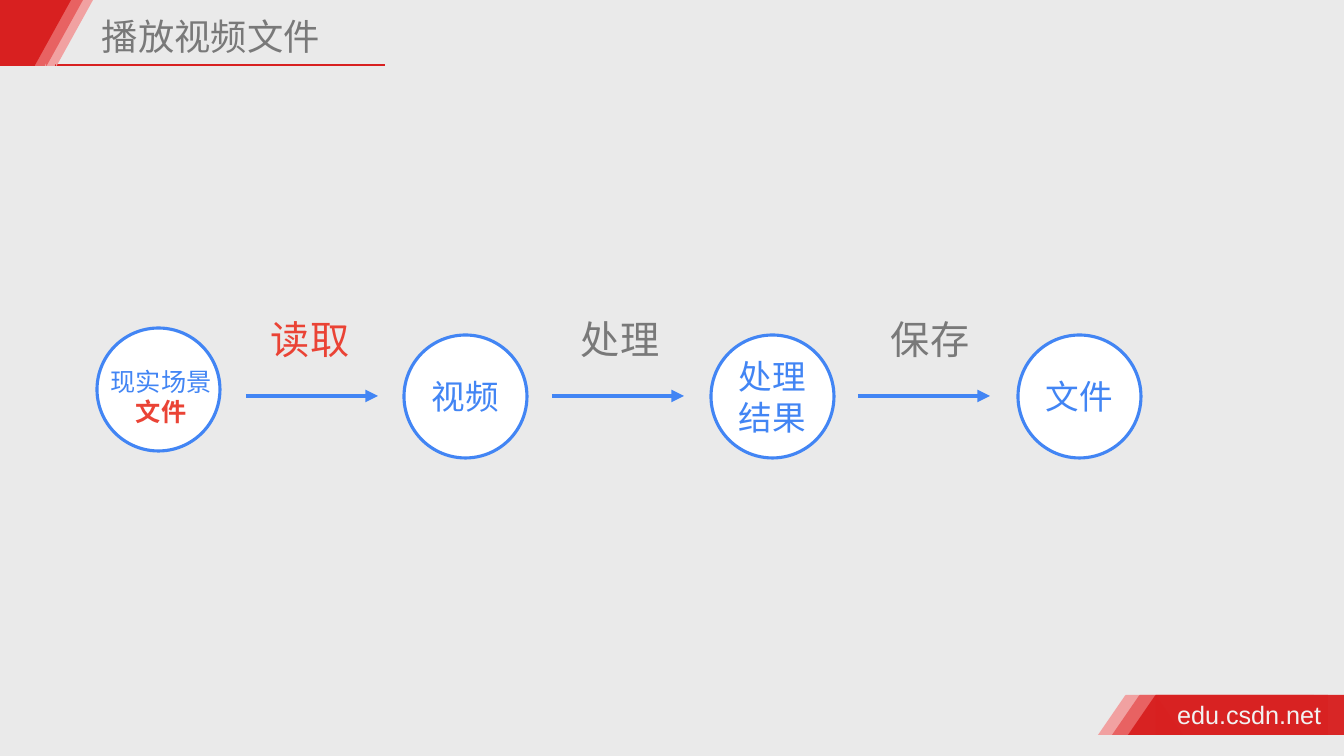
import pptx
import pptx.util
import pptx.dml.color
import pptx.enum.shapes
import pptx.enum.text
import pptx.oxml
import pptx.oxml.ns

RGB = pptx.dml.color.RGBColor
SHAPE = pptx.enum.shapes.MSO_SHAPE
ALIGN = pptx.enum.text.PP_ALIGN
ANCHOR = pptx.enum.text.MSO_ANCHOR
AUTO = pptx.enum.text.MSO_AUTO_SIZE

BACKGROUND = RGB(0xEA, 0xEA, 0xEA)
RED = RGB(0xD8, 0x20, 0x20)
MID_RED = RGB(0xE8, 0x62, 0x62)
PALE_RED = RGB(0xF1, 0xA1, 0xA1)
TEXT_RED = RGB(0xEA, 0x43, 0x35)
BLUE = RGB(0x42, 0x85, 0xF4)
GREY = RGB(0x79, 0x79, 0x79)
WHITE = RGB(0xFF, 0xFF, 0xFF)
OFF_WHITE = RGB(0xF2, 0xF2, 0xF2)
CJK = "Noto Sans CJK SC"


def px(n):
    return pptx.util.Emu(round(n * 914400 / 100.8))


def add_element(parent, tag, **attrs):
    el = pptx.oxml.parse_xml(f"<a:{tag} {pptx.oxml.ns.nsdecls('a')}/>")
    for name, value in attrs.items():
        el.set(name, value)
    parent.append(el)


def write(tf, lines, size, color, font=CJK, bold=False, insets=(5, 5), **para):
    """Fill a text frame; each line is a text and its own format values."""
    tf.margin_left = tf.margin_right = px(insets[0])
    tf.margin_top = tf.margin_bottom = px(insets[1])
    for i, (text, own) in enumerate(lines):
        p = tf.paragraphs[0] if i == 0 else tf.add_paragraph()
        for name, value in para.items():
            setattr(p, name, value)
        r = p.add_run()
        r.text = text
        fmt = {"size": pptx.util.Pt(size), "name": font, "bold": bold, **own}
        r.font.color.rgb = fmt.pop("color", color)
        for name, value in fmt.items():
            setattr(r.font, name, value)
        add_element(r.font._element, "ea", typeface=font)


def add_text(s, box, lines, size, color, wrap=False, grow=True, **fmt):
    tf = s.shapes.add_textbox(*map(px, box)).text_frame
    tf.word_wrap = wrap
    tf.auto_size = AUTO.SHAPE_TO_FIT_TEXT if grow else AUTO.NONE
    write(tf, lines, size, color, **fmt)


def add_shape(s, kind, box, fill, line=None, alpha=None):
    sp = s.shapes.add_shape(kind, *map(px, box))
    sp.shadow.inherit = False
    sp.fill.solid()
    sp.fill.fore_color.rgb = fill
    if alpha:
        color = sp._element.spPr.find(".//" + pptx.oxml.ns.qn("a:srgbClr"))
        add_element(color, "alpha", val=str(alpha * 1000))
    if line:
        sp.line.color.rgb = line
        sp.line.width = pptx.util.Pt(2.25)
    else:
        sp.line.fill.background()
    return sp


def add_line(s, x1, x2, y, color, width, arrow=False):
    ln = s.shapes.add_connector(
        pptx.enum.shapes.MSO_CONNECTOR.STRAIGHT, px(x1), px(y), px(x2), px(y))
    ln.line.color.rgb = color
    ln.line.width = pptx.util.Pt(width)
    if arrow:
        add_element(ln.line._get_or_add_ln(), "tailEnd", type="triangle")
    add_element(ln._element.spPr, "effectLst")


def add_circle(s, x, y, text):
    sp = add_shape(s, SHAPE.OVAL, (x, y, 123, 123), WHITE, BLUE)
    if text:
        sp.text_frame.word_wrap = True
        sp.text_frame.vertical_anchor = ANCHOR.MIDDLE
        write(sp.text_frame, [(text, {})], 24, BLUE, alignment=ALIGN.CENTER)


def add_footer(s):
    bands = [(1098, PALE_RED, None), (1112, MID_RED, None), (1128, RED, 97)]
    for x, color, alpha in bands:
        add_shape(s, SHAPE.RECTANGLE, (x + 28, 695, 188, 40), color, alpha=alpha)
        add_shape(s, SHAPE.ISOSCELES_TRIANGLE, (x, 695, 55, 40), color, alpha=alpha)
    add_text(s, (1172, 694, 156, 40), [("edu.csdn.net", {})], 18, OFF_WHITE,
             font="Arial")


def add_header(s):
    add_line(s, 49, 385, 65, RED, 1)
    for x, color in [(20, PALE_RED), (10, MID_RED), (-2, RED)]:
        add_shape(s, SHAPE.RECTANGLE, (max(x, 0), 0, 35, 66), color)
        sp = add_shape(s, SHAPE.ISOSCELES_TRIANGLE, (x, 0, 73, 66), color)
        sp.rotation = 180
    add_text(s, (97, 5, 389, 56), [("播放视频文件", {})], 25.9, GREY,
             wrap=True, grow=False, line_spacing=1.1)


def add_flow(s):
    # Stages
    stages = [(328, None), (335, "视频"), (335, "处理结果"), (335, "文件")]
    for i, (y, text) in enumerate(stages):
        add_circle(s, 97 + 307 * i, y, text)
    scene = [("现实场景", {}), ("文件", {"color": TEXT_RED, "bold": True})]
    add_text(s, (89, 361, 144, 72), scene, 18, BLUE, wrap=True,
             insets=(10, 5), alignment=ALIGN.CENTER)
    # Steps between stages
    steps = [("读取", TEXT_RED), ("处理", GREY), ("保存", GREY)]
    for i, (text, color) in enumerate(steps):
        x = 246 + 306 * i
        add_line(s, x, x + 132, 396, BLUE, 3, arrow=True)
        add_text(s, (266 + 310 * i, 287, 90, 82), [(text, {})], 28, color,
                 line_spacing=1.5)


def main():
    prs = pptx.Presentation()
    prs.slide_width, prs.slide_height = px(1344), px(756)
    s = prs.slides.add_slide(prs.slide_layouts[6])
    s.background.fill.solid()
    s.background.fill.fore_color.rgb = BACKGROUND
    add_footer(s)
    add_header(s)
    add_flow(s)
    prs.save("out.pptx")


if __name__ == "__main__":
    main()
